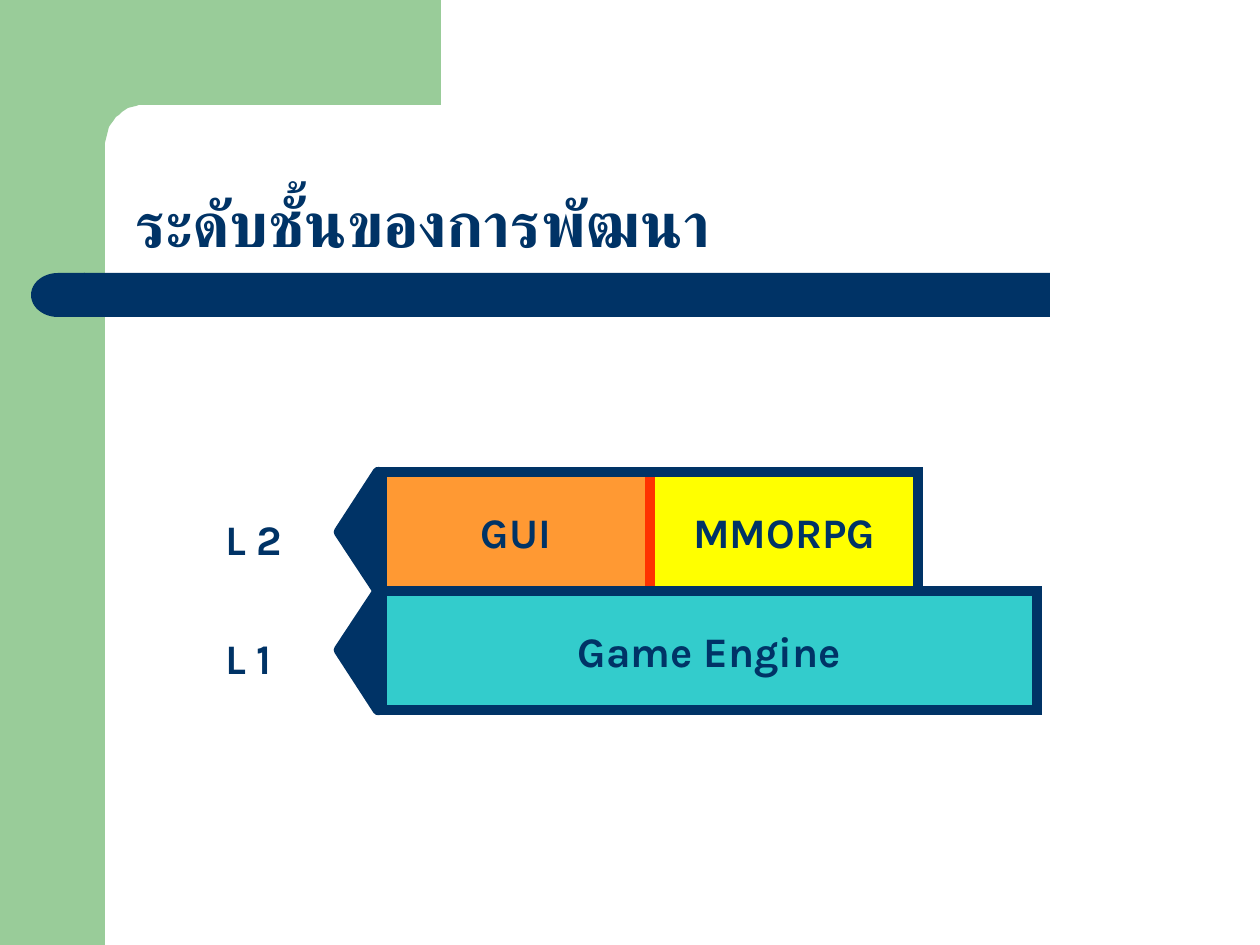
from math import cos, sin, pi
from pptx import Presentation
from pptx.dml.color import RGBColor
from pptx.enum.shapes import MSO_SHAPE as SHAPE
from pptx.enum.text import MSO_ANCHOR as ANCHOR, MSO_AUTO_SIZE as AUTO, PP_ALIGN as ALIGN
from pptx.oxml.ns import qn
from pptx.util import Inches, Pt
from lxml.etree import SubElement

PX = Inches(1) / 126
NAVY, GREEN, RED = "003366", "99CC99", "FF3300"


def paint(sp, fill=None, line=None):
    """Set fill and a 6 pt outline from hex strings; None means no paint."""
    sp.shadow.inherit = False
    for part, color in ((sp.fill, fill), (sp.line.fill, line)):
        if color:
            part.solid()
            part.fore_color.rgb = RGBColor.from_string(color)
        else:
            part.background()
    if line:
        sp.line.width = Pt(6)


def write(sp, text, size, align=ALIGN.LEFT, anchor=ANCHOR.TOP, spacing=1.0, wrap=True):
    """Put one bold navy run into a shape."""
    tf = sp.text_frame
    tf.word_wrap, tf.auto_size, tf.vertical_anchor = wrap, AUTO.NONE, anchor
    p = tf.paragraphs[0]
    p.alignment, p.line_spacing = align, spacing
    r = p.add_run()
    r.text = text
    r.font.name, r.font.size, r.font.bold = "Karla", Pt(size), True
    r.font.color.rgb = RGBColor.from_string(NAVY)
    SubElement(r.font._element, qn("a:cs")).set("typeface", "Karla")


prs = Presentation()
prs.slide_width, prs.slide_height = Inches(10), Inches(7.5)
s = prs.slides.add_slide(prs.slide_layouts[5])

# Green side band, navy bar and its rounded end
for kind, box, color in (
    (SHAPE.RECTANGLE, (0, 0, 105, 945), GREEN),
    (SHAPE.RECTANGLE, (84, 273, 966, 44), NAVY),
    (SHAPE.FLOWCHART_DELAY, (31, 273, 54, 44), NAVY),
):
    sp = s.shapes.add_shape(kind, *(round(v * PX) for v in box))
    paint(sp, color)
sp._element.spPr.find(qn("a:xfrm")).set("flipH", "1")

# Green top band with a rounded inner corner
corner = [(143 - 38 * sin(a), 147 - 42 * cos(a))
          for a in (i * pi / 32 for i in range(17))]
fb = s.shapes.build_freeform(441, 0, scale=PX)
fb.add_line_segments([(441, 105), *corner, (105, 161), (63, 161), (63, 0)])
paint(fb.convert_to_shape(), GREEN)

# Title
title = s.shapes.title
title.left, title.top, title.width, title.height = (
    round(v * PX) for v in (123, 178, 1022, 88))
write(title, "ระดับชั้นของการพัฒนา", 36)

# Layer blocks, then the navy frame of each layer
LEFT, HALF, FULL, ROW = 382, 268, 655, 119
TOP2 = 472
TOP1 = TOP2 + ROW
for x, y, w, fill, line, text in (
    (LEFT, TOP1, FULL, "33CCCC", RED, "Game Engine"),
    (LEFT, TOP2, HALF, "FF9933", RED, "GUI"),
    (LEFT + HALF, TOP2, HALF, "FFFF00", RED, "MMORPG"),
    (LEFT, TOP2, 2 * HALF, None, NAVY, None),
    (LEFT, TOP1, FULL, None, NAVY, None),
):
    sp = s.shapes.add_shape(SHAPE.RECTANGLE, *(round(v * PX) for v in (x, y, w, ROW)))
    paint(sp, fill, line)
    SubElement(sp.line._get_or_add_ln(), qn("a:miter")).set("lim", "800000")
    if text:
        write(sp, text, 24, ALIGN.CENTER, ANCHOR.MIDDLE, wrap=False)

# Level labels and pointers
for y, label in ((TOP1, "L 1"), (TOP2, "L 2")):
    tb = s.shapes.add_textbox(*(round(v * PX) for v in (213, y + 10, 110, 88)))
    write(tb, label, 24, spacing=1.5)
    fb = s.shapes.build_freeform(378, y, scale=PX)
    fb.add_line_segments([(378, y + ROW), (339, y + ROW / 2)])
    sp = fb.convert_to_shape()
    paint(sp, NAVY, NAVY)
    SubElement(sp.line._get_or_add_ln(), qn("a:round"))

prs.save("out.pptx")
